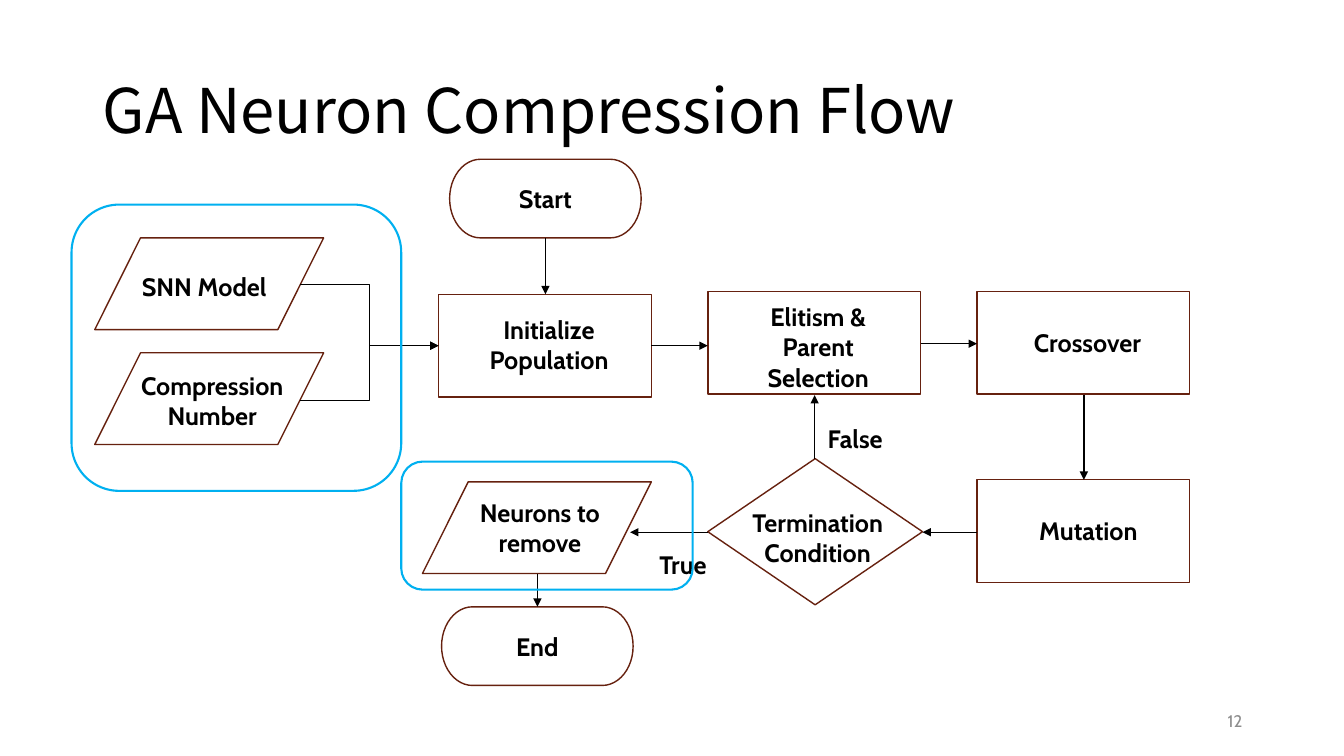
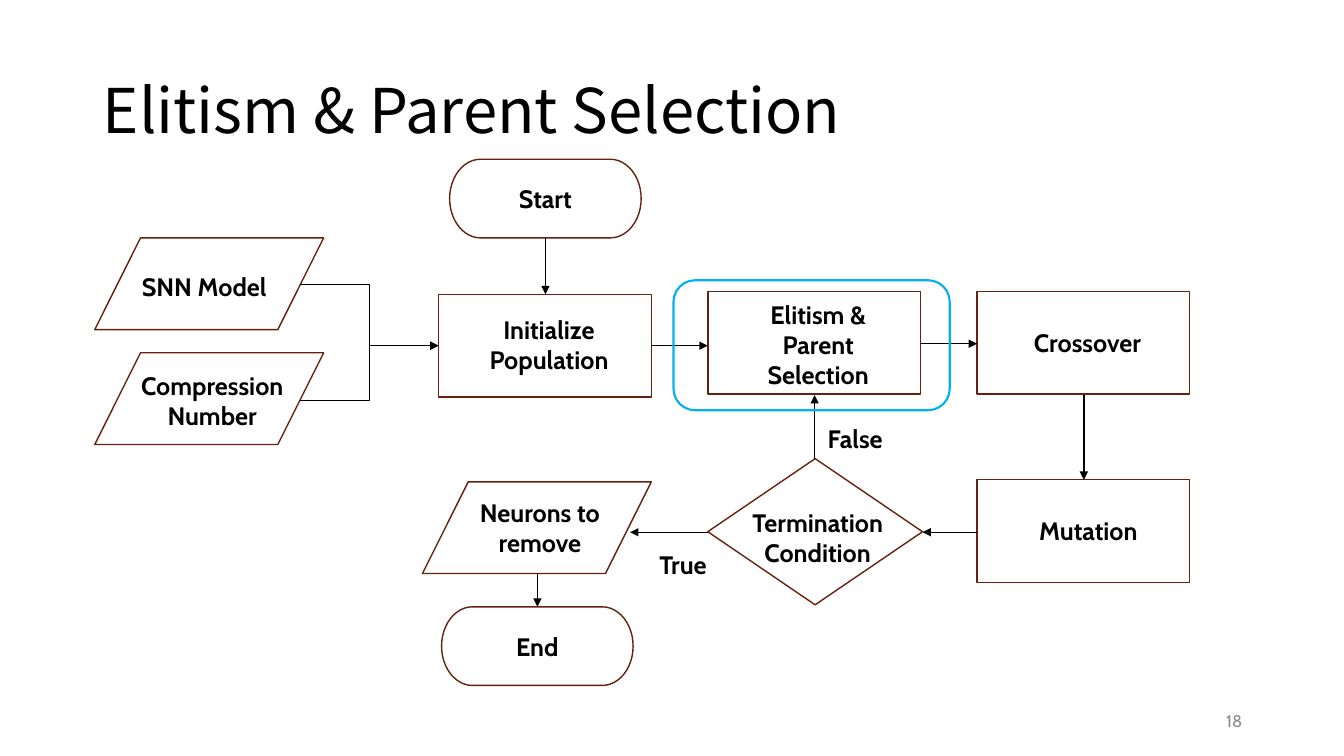
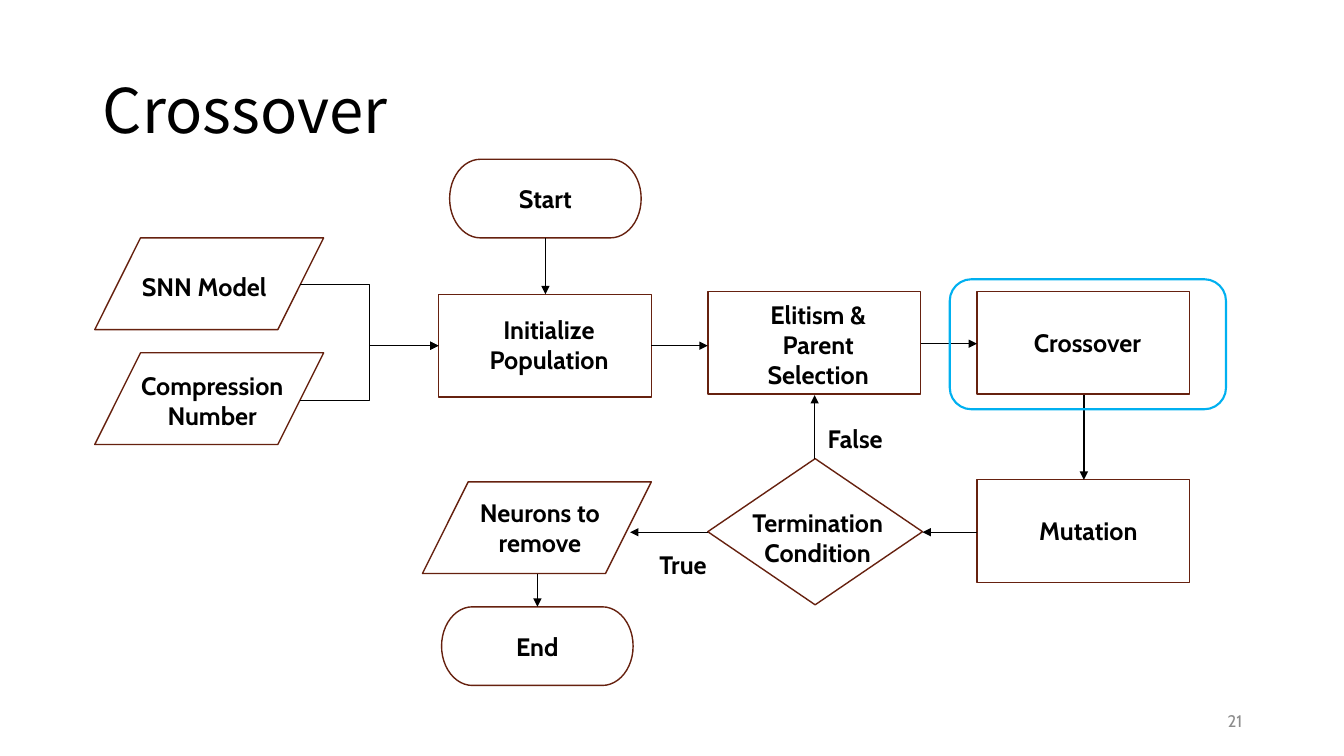
"""Three slides that walk through the neuron compression flow chart."""
from lxml.etree import SubElement
from pptx import Presentation
from pptx.dml.color import RGBColor
from pptx.enum.shapes import MSO_CONNECTOR, MSO_SHAPE
from pptx.enum.text import MSO_ANCHOR, MSO_AUTO_SIZE, PP_ALIGN
from pptx.oxml.ns import qn
from pptx.util import Inches, Pt

BLACK = RGBColor(0x00, 0x00, 0x00)
WHITE = RGBColor(0xFF, 0xFF, 0xFF)
GRAY = RGBColor(0x8C, 0x8C, 0x8C)
BROWN = RGBColor(0x66, 0x21, 0x0F)
BLUE = RGBColor(0x00, 0xB0, 0xF0)
HEAD = "Noto Sans CJK JP"
BODY = "Cabin"

STEP = MSO_SHAPE.FLOWCHART_PROCESS
DATA = MSO_SHAPE.FLOWCHART_DATA
TEST = MSO_SHAPE.FLOWCHART_DECISION
CAP = MSO_SHAPE.FLOWCHART_TERMINATOR
RING = MSO_SHAPE.ROUNDED_RECTANGLE
LEFT, MID, RIGHT = PP_ALIGN.LEFT, PP_ALIGN.CENTER, PP_ALIGN.RIGHT

SIZES = {STEP: (2.11, 1.02), DATA: (2.27, 0.91),
         TEST: (2.13, 1.45), CAP: (1.9, 0.78)}
NODES = [
    (STEP, 4.35, 2.92, ""),
    (STEP, 7.02, 2.89, ""),
    (STEP, 9.69, 2.89, ""),
    (STEP, 9.69, 4.76, ""),
    (TEST, 7.02, 4.55, ""),
    (DATA, 0.94, 2.36, ""),
    (DATA, 0.94, 3.5, ""),
    (DATA, 4.19, 4.78, ""),
    (CAP, 4.46, 1.58, "Start"),
    (CAP, 4.38, 6.02, "End"),
]
LABELS = [
    ("Initialize Population", 4.64, 3.07, 1.61, 0.71, MID),
    ("Crossover", 9.98, 3.2, 1.61, 0.4, MID),
    ("Mutation", 9.99, 5.06, 1.61, 0.4, MID),
    ("Termination\nCondition", 7.25, 4.98, 1.72, 0.71, MID),
    ("SNN Model", 0.92, 2.64, 2.21, 0.4, MID),
    ("Compression\nNumber", 1, 3.62, 2.21, 0.71, MID),
    ("Neurons to\nremove", 4.25, 4.88, 2.21, 0.71, MID),
    ("False", 8.11, 4.15, 1.01, 0.4, LEFT),
    ("True", 6.44, 5.4, 1.01, 0.4, LEFT),
]
LINE, BENT = MSO_CONNECTOR.STRAIGHT, MSO_CONNECTOR.ELBOW
ARROWS = [
    (LINE, 6.46, 3.43, 7.02, 3.43),
    (LINE, 5.41, 2.36, 5.41, 2.92),
    (LINE, 9.13, 3.41, 9.69, 3.41),
    (LINE, 10.75, 3.92, 10.75, 4.76),
    (LINE, 9.69, 5.28, 9.15, 5.28),
    (LINE, 8.08, 4.55, 8.08, 3.92),
    (LINE, 7.02, 5.28, 6.25, 5.28),
    (LINE, 5.33, 5.69, 5.33, 6.02),
    (BENT, 2.98, 2.82, 4.35, 3.43),
    (BENT, 2.98, 3.97, 4.35, 3.43),
]
PAGES = [
    ("GA Neuron Compression Flow", "12", 2.94,
     [(0.71, 2.03, 3.27, 2.84), (3.98, 4.58, 2.89, 1.27)]),
    ("Elitism & Parent Selection", "18", 2.92, [(6.68, 2.78, 2.74, 1.29)]),
    ("Crossover", "21", 2.92, [(9.42, 2.77, 2.74, 1.29)]),
]


def write(shape, text, align, size=18, color=BLACK, bold=True, face=BODY):
    frame = shape.text_frame
    frame.text = text
    frame.word_wrap = True
    for para in frame.paragraphs:
        para.alignment = align
        para.font.name = face
        para.font.size = Pt(size)
        para.font.bold = bold
        para.font.color.rgb = color
    return frame


def draw(slide, kind, place, color, width):
    shape = slide.shapes.add_shape(kind, *map(Inches, place))
    shape.shadow.inherit = False
    shape.fill.background()
    shape.line.color.rgb = color
    shape.line.width = Pt(width)
    return shape


deck = Presentation()
deck.slide_width, deck.slide_height = Inches(13.33), Inches(7.5)
layout = deck.slide_layouts[5]
title = layout.placeholders[0]
title.left, title.top = Inches(0.92), Inches(0.4)
title.width, title.height = Inches(11.5), Inches(1.45)

for name, page, top, rings in PAGES:
    slide = deck.slides.add_slide(layout)
    frame = write(slide.shapes.title, name, LEFT, 44, bold=False, face=HEAD)
    frame.vertical_anchor = MSO_ANCHOR.MIDDLE
    frame.auto_size = MSO_AUTO_SIZE.NONE
    frame.paragraphs[0].line_spacing = 0.9

    box = slide.shapes.add_textbox(*map(Inches, (9.42, 6.95, 3, 0.4)))
    frame = write(box, page, RIGHT, 12, GRAY, False)
    frame.vertical_anchor = MSO_ANCHOR.MIDDLE

    for kind, x, y, text in NODES:
        node = draw(slide, kind, (x, y, *SIZES[kind]), BROWN, 1)
        if kind in (CAP, TEST):
            node.fill.solid()
            node.fill.fore_color.rgb = WHITE
        if text:
            write(node, text, MID)

    for kind, *ends in ARROWS:
        arrow = slide.shapes.add_connector(kind, *map(Inches, ends))
        arrow.line.color.rgb = BLACK
        arrow.line.width = Pt(0.5 if kind == BENT else 1)
        SubElement(arrow.line._get_or_add_ln(), qn("a:tailEnd"), type="triangle")
        SubElement(arrow._element.spPr, qn("a:effectLst"))

    choice = ("Elitism & Parent Selection", 7.31, top, 1.61, 1.01, MID)
    for text, *place, align in [*LABELS, choice]:
        box = slide.shapes.add_textbox(*map(Inches, place))
        write(box, text, align).auto_size = MSO_AUTO_SIZE.SHAPE_TO_FIT_TEXT

    for place in rings:
        draw(slide, RING, place, BLUE, 1.5)

deck.save("out.pptx")
